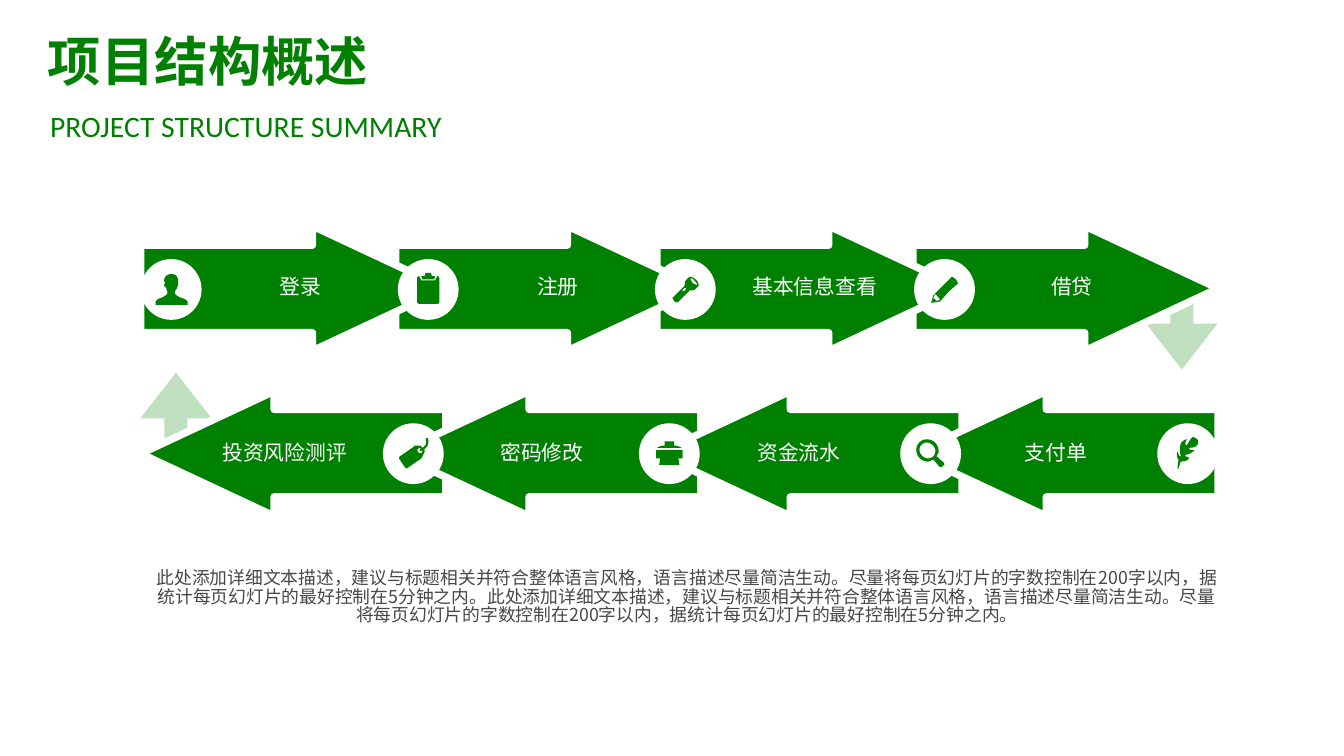
from lxml import etree
from pptx import Presentation
from pptx.dml.color import RGBColor
from pptx.enum.shapes import MSO_SHAPE as Shape
from pptx.enum.text import MSO_AUTO_SIZE as Fit, PP_ALIGN as Align
from pptx.oxml.ns import qn
from pptx.util import Inches, Pt

GREEN, WHITE, GREY = "008000", "FFFFFF", "474747"
CJK, LATIN = "Noto Sans CJK SC", "Calibri"

TITLE = "项目结构概述"
SUBTITLE = "PROJECT STRUCTURE SUMMARY"
BODY = ("此处添加详细文本描述，建议与标题相关并符合整体语言风格，语言描述尽量简洁生动。"
        "尽量将每页幻灯片的字数控制在200字以内，据统计每页幻灯片的最好控制在5分钟之内。") * 2

PERSON = (
    "M 37 36 C 33 34 32 33 32 31 C 32 29 33 30 34 27 C 34 25 35 27 35 24 L 35 23 "
    "C 35 23 35 21 35 20 C 35 18 34 14 29 14 C 23 14 22 18 22 20 C 22 21 23 23 23 23 "
    "C 23 23 22 23 22 24 C 22 27 23 25 24 27 C 24 30 25 29 25 31 C 25 33 24 34 20 36 "
    "C 16 37 14 39 14 40 L 14 43 L 44 43 L 44 40 C 44 39 41 37 37 36")
CLIPBOARD = (
    "M 37 16 L 35 20 L 22 20 L 20 16 C 19 16 18 17 18 18 L 18 40 C 18 41 19 42 20 42 "
    "L 37 42 C 38 42 39 41 39 40 L 39 18 C 39 17 38 16 37 16 "
    "M 34 19 L 35 16 L 32 16 L 31 13 L 26 13 L 25 16 L 22 16 L 23 19")
TORCH = (
    "M 35 22 C 34 20 33 18 33 18 C 33 18 36 18 37 20 C 39 22 40 24 40 24 C 39 24 37 24 35 22 "
    "M 26 30 C 26 29 26 28 27 28 C 27 27 28 27 29 27 C 29 28 29 29 28 30 C 28 30 27 30 26 30 "
    "M 38 19 C 36 17 33 16 32 17 L 29 20 C 28 21 28 23 28 25 L 17 36 C 16 36 17 38 18 39 "
    "C 19 41 21 41 22 40 L 33 29 C 34 30 36 29 37 29 L 41 25 C 41 24 41 21 38 19")
PENCIL = (
    "M 23 39 L 21 39 C 20 39 20 38 20 38 C 19 37 19 37 18 37 L 19 34 L 19 33 "
    "C 19 33 21 33 22 35 C 24 37 24 38 24 38 C 24 38 23 39 23 39 "
    "M 39 19 C 36 16 35 17 35 17 L 27 25 L 18 34 L 16 41 L 24 40 L 33 30 L 41 23 "
    "C 41 23 41 21 39 19")
TAG = (
    "M 36 28 C 35 28 33 28 33 27 C 32 26 32 25 33 24 C 34 23 35 23 36 24 L 35 24 "
    "C 35 25 35 25 35 26 L 36 26 L 37 25 C 37 26 37 27 36 28 "
    "M 42 14 L 41 14 C 40 14 40 15 40 15 C 42 19 39 22 37 23 L 36 22 C 36 22 35 21 35 21 "
    "L 30 21 C 30 21 29 21 29 22 L 16 31 C 15 32 15 33 15 33 L 21 42 C 22 43 22 42 23 42 "
    "L 36 33 C 37 32 37 32 37 31 L 39 27 C 39 26 39 26 39 25 L 38 25 C 41 23 44 19 42 14")
PRINTER = (
    "M 17 23 L 40 23 C 39 22 35 21 35 21 L 33 21 L 33 17 L 24 17 L 24 21 L 22 21 "
    "C 22 21 18 22 17 23 "
    "M 40 25 L 17 25 C 16 25 16 26 16 27 L 16 31 C 16 32 16 33 17 33 L 20 33 L 19 39 "
    "L 38 39 L 37 33 L 40 33 C 41 33 41 32 41 31 L 41 27 C 41 26 41 25 40 25")
MAGNIFIER = (
    "M 18 25 C 18 21 21 18 25 18 C 29 18 33 22 33 26 C 33 30 30 33 26 33 C 22 33 18 29 18 25 "
    "M 41 37 L 34 31 C 35 29 36 28 36 26 C 36 20 31 15 25 15 C 20 15 15 19 15 25 "
    "C 15 31 20 36 26 36 C 27 36 29 35 31 34 L 37 41 C 38 41 39 41 39 41 L 41 39 "
    "C 42 39 41 38 41 37")
FEATHER = (
    "M 20 42 C 20 41 21 39 22 36 C 26 35 28 36 30 32 C 28 32 26 31 26 30 C 26 29 31 30 35 25 "
    "C 31 26 29 24 30 23 C 31 23 35 23 37 21 C 38 20 39 17 38 16 C 38 15 35 13 33 13 "
    "C 31 14 28 21 27 21 C 26 20 26 17 28 15 C 26 15 23 17 22 19 C 20 23 22 31 22 31 "
    "C 21 32 19 28 19 26 C 18 29 18 31 20 35 C 19 37 19 40 19 42 C 19 43 20 43 20 42")

ARROW_LEFTS = [1.32, 3.71, 6.16, 8.56]
ARROW_W, ARROW_H = 2.86, 1.17
ARROW_OUTLINE = [(0, 0.18), (1.61, 0.18), (1.61, 0), (2.86, 0.585),
                 (1.61, 1.17), (1.61, 1), (0, 1)]
DISC, LABEL_W, LABEL_H, LABEL_PITCH = 0.57, 1.86, 0.24, 2.41
ROWS = [
    dict(top=2.12, left_facing=False, disc_top=2.43, label_left=1.89, label_top=2.6,
         steps=[("登录", PERSON, 1.32), ("注册", CLIPBOARD, 3.73),
                ("基本信息查看", TORCH, 6.14), ("借贷", PENCIL, 8.57)]),
    dict(top=3.67, left_facing=True, disc_top=3.97, label_left=1.74, label_top=4.16,
         steps=[("投资风险测评", TAG, 3.59), ("密码修改", PRINTER, 5.99),
                ("资金流水", MAGNIFIER, 8.44), ("支付单", FEATHER, 10.85)]),
]
TURNS = [(1.27, 3.54, 270), (10.7, 2.75, 90)]

prs = Presentation()
prs.slide_width, prs.slide_height = Inches(12.6), Inches(7.09)
s = prs.slides.add_slide(prs.slide_layouts[6])


def rgb(color):
    return RGBColor.from_string(color)


def paint(sp, fill, line=None):
    sp.shadow.inherit = False
    sp.fill.solid()
    sp.fill.fore_color.rgb = rgb(fill)
    if line:
        sp.line.color.rgb = rgb(line)
        sp.line.width = Pt(5)
    else:
        sp.line.fill.background()


def outline(contours, left, top, fill, line=None):
    builder = None
    for contour in contours:
        pts = [(Inches(left + x), Inches(top + y)) for x, y in contour]
        if builder is None:
            builder = s.shapes.build_freeform(*pts[0], scale=1.0)
        else:
            builder.move_to(*pts[0])
        builder.add_line_segments(pts[1:], close=True)
    paint(builder.convert_to_shape(), fill, line)


def flatten(drawing, steps=6):
    contours = []
    tokens = iter(drawing.split())
    for command in tokens:
        count = 3 if command == "C" else 1
        pts = [(int(next(tokens)) / 100, int(next(tokens)) / 100) for _ in range(count)]
        if command == "M":
            contours.append(pts)
        elif command == "L":
            contours[-1] += pts
        else:
            curve = [contours[-1][-1]] + pts
            for i in range(1, steps + 1):
                t = i / steps
                weights = ((1 - t) ** 3, 3 * t * (1 - t) ** 2, 3 * t * t * (1 - t), t ** 3)
                contours[-1].append(tuple(
                    sum(w * pt[axis] for w, pt in zip(weights, curve)) for axis in (0, 1)))
    return contours


def text(words, left, top, width, height, size, color, font=CJK, bold=False,
         align=Align.LEFT, inset=(0, 0)):
    sp = s.shapes.add_textbox(Inches(left), Inches(top), Inches(width), Inches(height))
    tf = sp.text_frame
    tf.word_wrap = True
    tf.auto_size = Fit.SHAPE_TO_FIT_TEXT
    tf.margin_left = tf.margin_right = Inches(inset[0])
    tf.margin_top = tf.margin_bottom = Inches(inset[1])
    p = tf.paragraphs[0]
    p.alignment = align
    if font == CJK:
        p.line_spacing = 0.85
    r = p.add_run()
    r.text = words
    r.font.name, r.font.size, r.font.bold = font, Pt(size), bold
    r.font.color.rgb = rgb(color)
    etree.SubElement(r.font._element, qn("a:ea"), typeface=font)


for left, top, angle in TURNS:
    sp = s.shapes.add_shape(Shape.RIGHT_ARROW, Inches(left), Inches(top),
                            Inches(0.76), Inches(0.67))
    sp.rotation = angle
    sp.adjustments[0], sp.adjustments[1] = 0.32, 0.64
    paint(sp, GREEN)
    tint = sp.fill._xPr.find(qn("a:solidFill"))[0]
    etree.SubElement(tint, qn("a:alpha"), val="25000")

for row in ROWS:
    mirrored = row["left_facing"]
    shape = [(ARROW_W - x, ARROW_H - y) if mirrored else (x, y) for x, y in ARROW_OUTLINE]
    for left in ARROW_LEFTS if mirrored else reversed(ARROW_LEFTS):
        outline([shape], left, row["top"], GREEN, WHITE)

for row in ROWS:
    for i, (label, icon, left) in enumerate(row["steps"]):
        disc = s.shapes.add_shape(Shape.OVAL, Inches(left), Inches(row["disc_top"]),
                                  Inches(DISC), Inches(DISC))
        paint(disc, WHITE)
        outline(flatten(icon), left, row["disc_top"], GREEN)
        text(label, row["label_left"] + i * LABEL_PITCH, row["label_top"],
             LABEL_W, LABEL_H, 14, WHITE, align=Align.CENTER)

text(BODY, 1.46, 5.35, 9.96, 0.61, 12, GREY, align=Align.CENTER)
text(TITLE, 0.34, 0.3, 3.99, 1.44, 36, GREEN, bold=True, inset=(0.11, 0.06))
text(SUBTITLE, 0.47, 1.01, 3.94, 0.34, 20, GREEN, font=LATIN)

prs.save("out.pptx")
